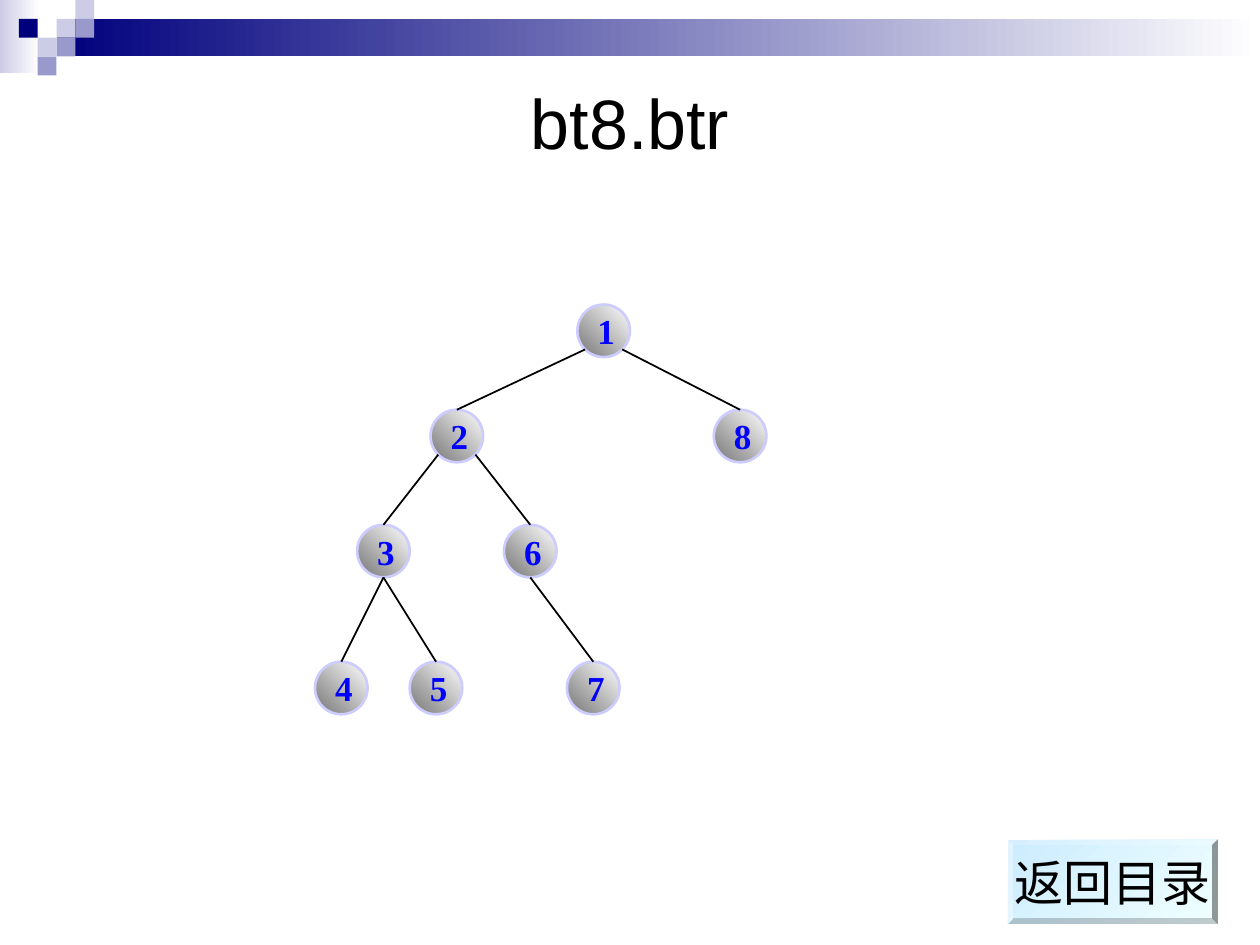
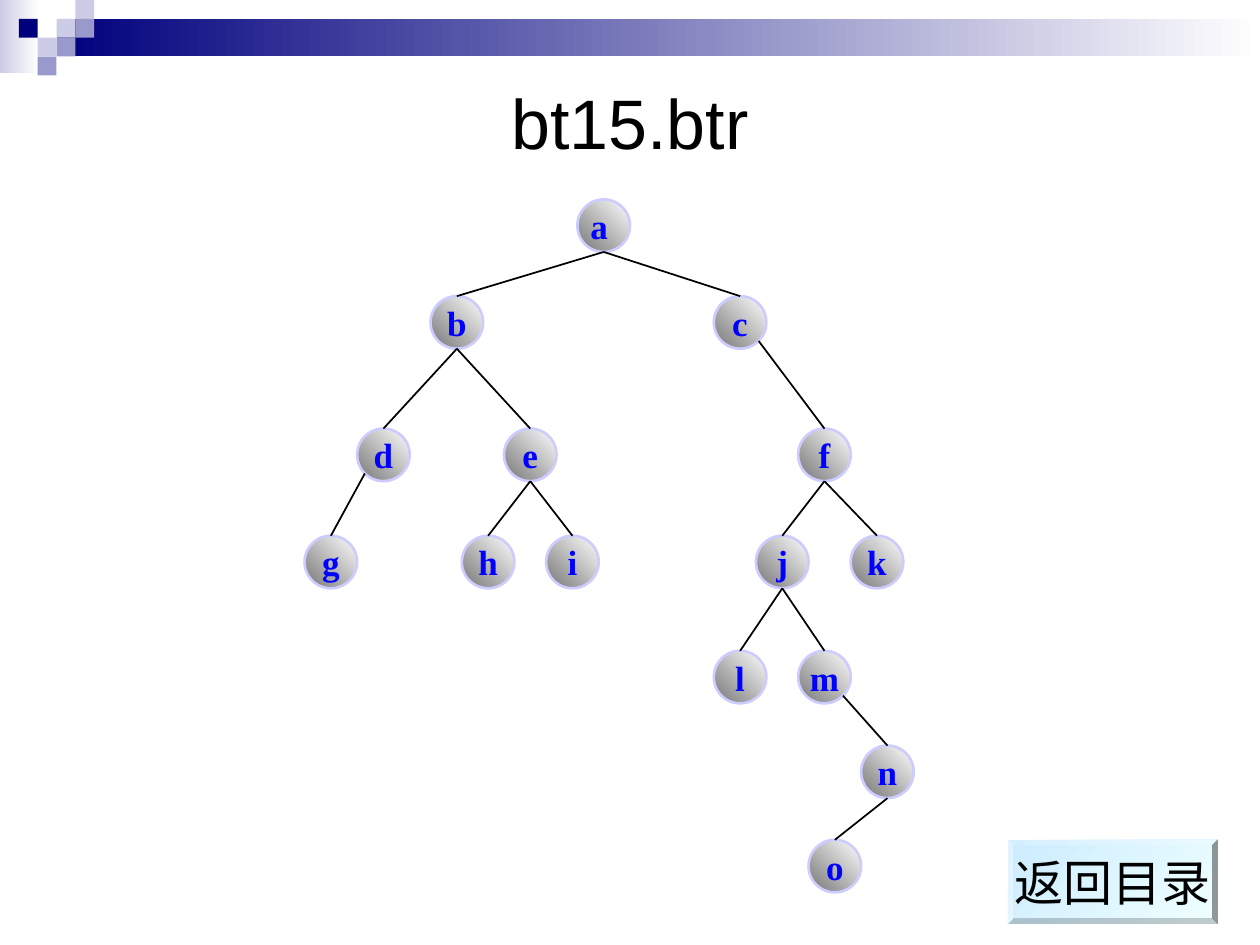
from math import sqrt

from lxml import etree
from pptx import Presentation
from pptx.dml.color import RGBColor
from pptx.enum.shapes import MSO_CONNECTOR, MSO_SHAPE
from pptx.enum.text import MSO_ANCHOR, PP_ALIGN
from pptx.oxml.ns import qn
from pptx.util import Cm, Pt

RECT, OVAL, BEVEL = MSO_SHAPE.RECTANGLE, MSO_SHAPE.OVAL, MSO_SHAPE.BEVEL
LINE = MSO_CONNECTOR.STRAIGHT
LEFT, CENTER = PP_ALIGN.LEFT, PP_ALIGN.CENTER
MIDDLE = MSO_ANCHOR.MIDDLE

COLORS = {
    "navy": "00007D", "violet": "9999CC", "pale": "CCCCE6", "white": "FFFFFF",
    "gray": "767676", "ring": "CCCCFF", "blue": "0000FF", "black": "000000",
    "sky": "CCECFF", "ice": "F0FFFF",
}
SANS, SERIF = "Arial", "Times New Roman"
CELL = 0.38   # side of a small square in the band, cm
NODE = 1.06   # diameter of a tree node, cm

# column, row and colour of the small squares
SQUARES = [
    (3, 1, "pale"), (4, 0, "pale"), (4, 1, "violet"), (2, 2, "pale"),
    (1, 1, "navy"), (3, 2, "violet"), (2, 3, "violet"),
]

# Each tree: top of every level, nodes as (label, left, level, parent),
# and the parents whose branches leave from the lower side, not the bottom.
TREES = [
    {
        "title": "bt8.btr", "align": LEFT, "slant": "12",
        "tops": [6.14, 8.26, 10.58, 13.34],
        "nodes": [
            ("1", 11.64, 0, ""), ("2", 8.68, 1, "1"), ("3", 7.2, 2, "2"),
            ("4", 6.35, 3, "3"), ("5", 8.26, 3, "3"), ("6", 10.16, 2, "2"),
            ("7", 11.43, 3, "6"), ("8", 14.39, 1, "1"),
        ],
    },
    {
        "title": "bt15.btr", "align": CENTER, "slant": "cdm",
        "tops": [4.02, 5.97, 8.64, 10.8, 13.12, 15.03, 16.93],
        "nodes": [
            ("a", 11.64, 0, ""), ("b", 8.68, 1, "a"), ("c", 14.39, 1, "a"),
            ("d", 7.2, 2, "b"), ("e", 10.16, 2, "b"), ("f", 16.09, 2, "c"),
            ("g", 6.14, 3, "d"), ("h", 9.31, 3, "e"), ("i", 11.01, 3, "e"),
            ("j", 15.24, 3, "f"), ("k", 17.15, 3, "f"), ("l", 14.39, 4, "j"),
            ("m", 16.09, 4, "j"), ("n", 17.36, 5, "m"), ("o", 16.3, 6, "n"),
        ],
    },
]


def rgb(name):
    return RGBColor.from_string(COLORS[name])


def add_box(shapes, kind, box, *fill, angle=0):
    """Add a shape without outline, filled with one colour or a gradient of two."""
    shape = shapes.add_shape(kind, *map(Cm, box))
    shape.shadow.inherit = False
    shape.line.fill.background()
    if len(fill) == 1:
        shape.fill.solid()
        shape.fill.fore_color.rgb = rgb(fill[0])
    else:
        shape.fill.gradient()
        shape.fill.gradient_angle = angle
        for stop, name in zip(shape.fill.gradient_stops, fill):
            stop.color.rgb = rgb(name)
    return shape


def set_text(shape, text, size, color=None, font=SANS, align=CENTER, bold=False, wrap=False):
    frame = shape.text_frame
    frame.text = text
    frame.word_wrap = wrap
    frame.vertical_anchor = MIDDLE
    par = frame.paragraphs[0]
    par.alignment = align
    for run in par.runs:
        run.font.size = Pt(size)
        run.font.name = font
        run.font.bold = bold
        run.font.color.rgb = rgb(color or "black")


def add_band(slide, layout):
    """Build the top band as one group and move it to the shared layout."""
    group = slide.shapes.add_group_shape()
    add_box(group.shapes, RECT, (0, 0, 0.79, 1.47), "pale", "white")
    add_box(group.shapes, RECT, (3 * CELL, CELL, 24.26, 2 * CELL), "navy", "white")
    for col, row, color in SQUARES:
        add_box(group.shapes, RECT, (col * CELL, row * CELL, CELL, CELL), color)
    for number, props in enumerate(group.element.xpath(".//p:cNvPr"), 100):
        props.set("id", str(number))
    layout.shapes.element.insert(2, group.element)


def add_title(slide, text):
    title = slide.shapes.title
    title.left, title.top, title.width, title.height = map(Cm, (1.27, 1.27, 22.86, 2.34))
    set_text(title, text, 40, wrap=True)


def add_node(slide, label, left, top, align):
    node = add_box(slide.shapes, OVAL, (left, top, NODE, NODE), "gray", "white", angle=45)
    node.line.color.rgb = rgb("ring")
    node.line.width = Pt(1.5)
    set_text(node, label, 20, "blue", SERIF, align, bold=True)
    return node


def add_branch(slide, parent, child, slant):
    """Join a parent's bottom, or its lower side if slanted, to a child's top."""
    radius = parent.width / 2
    x, y = parent.left + radius, parent.top + radius
    if slant:
        step = radius / sqrt(2)
        x += step if child.left > parent.left else -step
        y += step
    else:
        y += radius
    line = slide.shapes.add_connector(LINE, int(x), int(y), int(x), int(y))
    line.end_connect(child, 0)
    line.line.color.rgb = rgb("black")
    line.line.width = Pt(1)
    etree.SubElement(line.element.spPr, qn("a:effectLst"))


def add_tree(slide, tree):
    nodes = {}
    for label, left, level, parent in tree["nodes"]:
        text = label if parent else label + " "
        nodes[label] = add_node(slide, text, left, tree["tops"][level], tree["align"])
        if parent:
            add_branch(slide, nodes[parent], nodes[label], parent in tree["slant"])


def add_button(slide):
    button = add_box(slide.shapes, BEVEL, (20.32, 16.93, 4.23, 1.69), "sky", "ice", angle=315)
    button.adjustments[0] = 0.06
    set_text(button, "返回目录", 28)


def main():
    deck = Presentation()
    deck.slide_width, deck.slide_height = Cm(25.4), Cm(19.05)
    layout = deck.slide_layouts[5]
    for index, tree in enumerate(TREES):
        slide = deck.slides.add_slide(layout)
        if index == 0:
            add_band(slide, layout)
        add_title(slide, tree["title"])
        add_tree(slide, tree)
        add_button(slide)
    deck.save("out.pptx")


if __name__ == "__main__":
    main()
